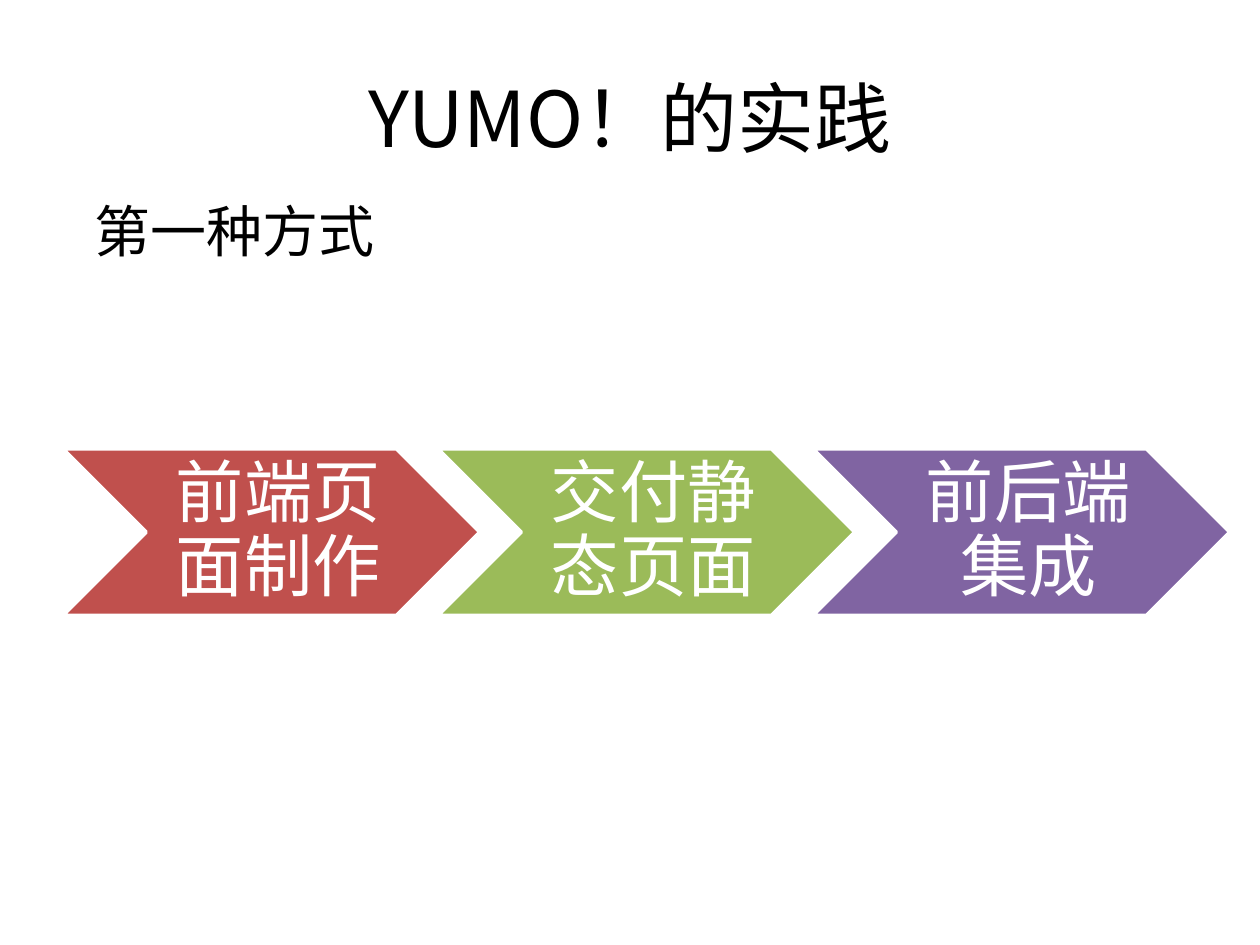
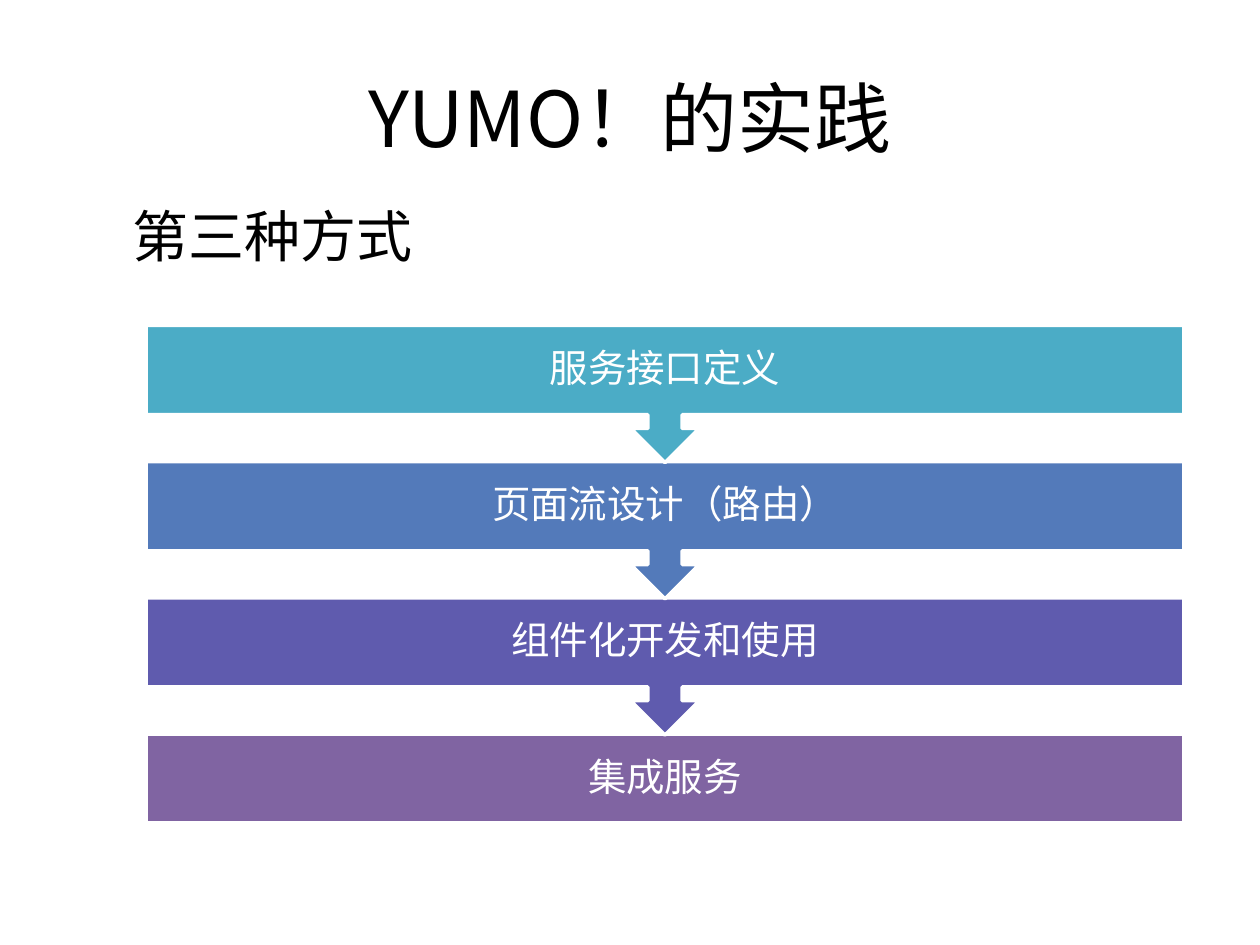
from dataclasses import dataclass

from pptx import Presentation
from pptx.dml.color import RGBColor
from pptx.enum import shapes, text
from pptx.util import Pt

WHITE, BLACK, PURPLE = "FFFFFF", "000000", "8064A2"
BODY_FONT, HEAD_FONT = "Calibri", "Noto Sans CJK JP"
TITLE = "YUMO！的实践"


@dataclass(frozen=True)
class Box:
    x: float
    y: float
    w: float
    h: float


@dataclass(frozen=True)
class Step:
    label: str
    color: str


CHEVRON_STEPS = [
    Step("前端页面制作", "C0504D"),
    Step("交付静态页面", "9BBB59"),
    Step("前后端集成", PURPLE),
]
CHEVRON = Box(36, 256.5, 238.1, 95.2)
CHEVRON_PITCH = 214.3
CHEVRON_LABEL_INDENT = 47.6
CHEVRON_LABEL_WIDTH = 142.8

FLOW_STEPS = [
    Step("服务接口定义", "4BACC6"),
    Step("页面流设计（路由）", "537ABA"),
    Step("组件化开发和使用", "5F5BAE"),
    Step("集成服务", PURPLE),
]
FLOW_BAR = Box(83.5, 186, 593, 51)
FLOW_CALLOUT_HEIGHT = 78.4
FLOW_PITCH = 77.8


def rgb(color: str) -> RGBColor:
    return RGBColor.from_string(color)


def add_text(slide, box: Box, content: str, *, size: float, font: str = BODY_FONT,
             color: str = WHITE, align=text.PP_ALIGN.CENTER,
             anchor=text.MSO_ANCHOR.MIDDLE, insets=(7.2, 3.6, 7.2, 3.6),
             spacing: float = 1.0, wrap: bool = True) -> None:
    sp = slide.shapes.add_textbox(Pt(box.x), Pt(box.y), Pt(box.w), Pt(box.h))
    tf = sp.text_frame
    tf.word_wrap = wrap
    tf.vertical_anchor = anchor
    tf.margin_left, tf.margin_top, tf.margin_right, tf.margin_bottom = map(Pt, insets)
    p = tf.paragraphs[0]
    p.alignment = align
    p.line_spacing = spacing
    r = p.add_run()
    r.text = content
    r.font.size = Pt(size)
    r.font.name = font
    r.font.color.rgb = rgb(color)


def add_block(slide, kind, box: Box, color: str, rotation: float = 0) -> None:
    sp = slide.shapes.add_shape(kind, Pt(box.x), Pt(box.y), Pt(box.w), Pt(box.h))
    sp.shadow.inherit = False
    sp.rotation = rotation
    sp.fill.solid()
    sp.fill.fore_color.rgb = rgb(color)
    sp.line.color.rgb = rgb(WHITE)
    sp.line.width = Pt(2)


def add_slide(prs, subtitle: str, box: Box, wrap: bool = True):
    slide = prs.slides.add_slide(prs.slide_layouts[6])
    add_text(slide, Box(36, 21.6, 648, 90), TITLE, size=44, font=HEAD_FONT, color=BLACK)
    add_text(slide, box, subtitle, size=32, font=HEAD_FONT, color=BLACK,
             align=text.PP_ALIGN.LEFT, anchor=text.MSO_ANCHOR.TOP, wrap=wrap)
    return slide


def add_chevrons(slide) -> None:
    for i, step in enumerate(CHEVRON_STEPS):
        box = Box(CHEVRON.x + i * CHEVRON_PITCH, CHEVRON.y, CHEVRON.w, CHEVRON.h)
        add_block(slide, shapes.MSO_SHAPE.CHEVRON, box, step.color)
        label = Box(box.x + CHEVRON_LABEL_INDENT, box.y, CHEVRON_LABEL_WIDTH, box.h)
        add_text(slide, label, step.label, size=39, spacing=0.9,
                 insets=(12.2, 4.1, 4.1, 4.1))


def add_flow(slide) -> None:
    last = len(FLOW_STEPS) - 1
    for i, step in reversed(list(enumerate(FLOW_STEPS))):
        bar = Box(FLOW_BAR.x, FLOW_BAR.y + i * FLOW_PITCH, FLOW_BAR.w, FLOW_BAR.h)
        if i == last:
            add_block(slide, shapes.MSO_SHAPE.RECTANGLE, bar, step.color)
        else:
            callout = Box(bar.x, bar.y, bar.w, FLOW_CALLOUT_HEIGHT)
            add_block(slide, shapes.MSO_SHAPE.UP_ARROW_CALLOUT, callout, step.color, 180)
        add_text(slide, bar, step.label, size=22, spacing=0.9, insets=(12.2,) * 4)


def main() -> None:
    prs = Presentation()
    prs.slide_width, prs.slide_height = Pt(720), Pt(540)
    add_chevrons(add_slide(prs, "第一种方式", Box(46.8, 108.7, 186.5, 46.1)))
    add_flow(add_slide(prs, "第三种方式", Box(68.4, 111.6, 176.4, 46.1), wrap=False))
    prs.save("out.pptx")


if __name__ == "__main__":
    main()
